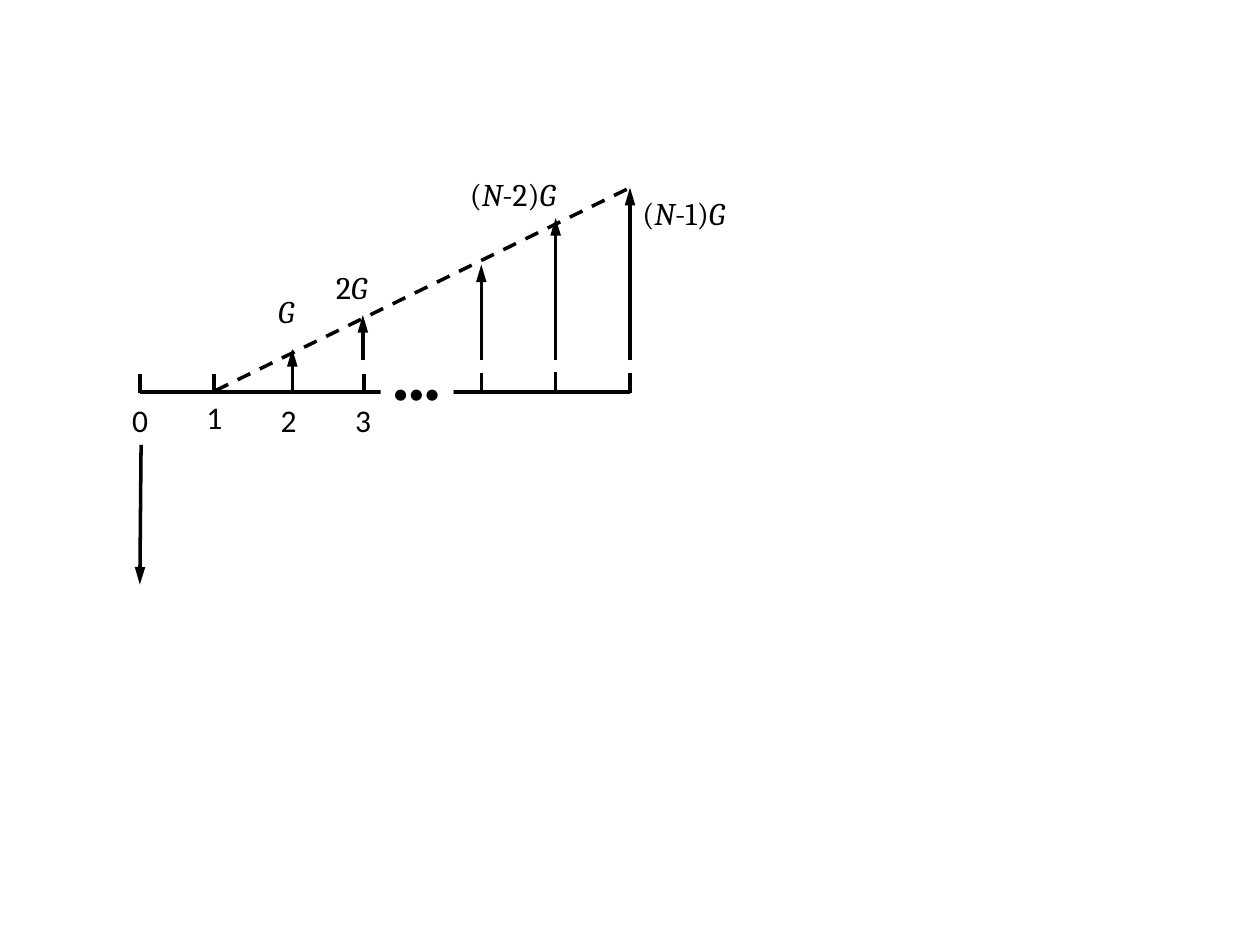
"""Build a slide with the cash flow diagram of an arithmetic gradient."""
from itertools import groupby

from lxml.etree import SubElement
from pptx import Presentation
from pptx.dml.color import RGBColor
from pptx.enum.dml import MSO_LINE_DASH_STYLE as DASH
from pptx.enum.shapes import MSO_CONNECTOR as CONNECTOR, MSO_SHAPE as SHAPE
from pptx.enum.text import MSO_AUTO_SIZE as AUTO_SIZE, PP_ALIGN as ALIGN
from pptx.oxml.ns import qn
from pptx.util import Inches, Pt

BLACK = RGBColor(0, 0, 0)
WHITE = RGBColor(255, 255, 255)

presentation = Presentation()
presentation.slide_width, presentation.slide_height = Inches(10), Inches(7.5)
slide = presentation.slides.add_slide(presentation.slide_layouts[6])


def add_label(text, left, top, width, font="Calibri", fill=None):
    box = (Inches(left), Inches(top), Inches(width), Inches(0.4))
    if fill is None:
        shape = slide.shapes.add_textbox(*box)
    else:
        shape = slide.shapes.add_shape(SHAPE.RECTANGLE, *box)
        shape.shadow.inherit = False
        shape.fill.solid()
        shape.fill.fore_color.rgb = fill
        shape.line.fill.background()
    frame = shape.text_frame
    frame.word_wrap = False
    frame.auto_size = AUTO_SIZE.SHAPE_TO_FIT_TEXT
    paragraph = frame.paragraphs[0]
    paragraph.alignment = ALIGN.LEFT
    for is_variable, characters in groupby(text, str.isalpha):
        run = paragraph.add_run()
        run.text = "".join(characters)
        run.font.name = font
        run.font.size = Pt(18)
        run.font.italic = is_variable
        run.font.color.rgb = BLACK


def add_line(start_x, start_y, end_x, end_y, arrow=False, dash=None):
    connector = slide.shapes.add_connector(
        CONNECTOR.STRAIGHT, Inches(start_x), Inches(start_y), Inches(end_x), Inches(end_y))
    connector.line.color.rgb = BLACK
    connector.line.width = Pt(2)
    if dash is not None:
        connector.line.dash_style = dash
    properties = connector._element.spPr
    if arrow:
        SubElement(properties.find(qn("a:ln")), qn("a:tailEnd"), type="triangle", w="med", len="lg")
    SubElement(properties, qn("a:effectLst"))


add_line(1.11, 3.11, 5, 3.11)
add_label("•••", 3.02, 2.91, 0.58, fill=WHITE)

for period, top in enumerate((3.13, 3.11, 3.13, 3.13)):
    add_label(str(period), 0.95 + 0.59 * period, top, 0.33)

for x, bottom, top in ((1.11, 3.12, 2.97), (1.7, 3.13, 2.97), (2.89, 3.12, 2.97),
                       (3.82, 3.11, 2.96), (4.41, 3.1, 2.95), (5, 3.12, 2.96)):
    add_line(x, bottom, x, top)

for x, bottom, top in ((2.32, 3.11, 2.77), (2.88, 2.86, 2.5), (3.82, 2.86, 2.1),
                       (4.41, 2.86, 1.73), (5, 2.86, 1.49)):
    add_line(x, bottom, x, top, arrow=True)
add_line(1.12, 3.53, 1.11, 4.64, arrow=True)

for text, left, top, width in (("G", 2.11, 2.27, 0.43), ("2G", 2.57, 2.08, 0.56),
                               ("(N-2)G", 3.63, 1.34, 1.02), ("(N-1)G", 5, 1.49, 1.02)):
    add_label(text, left, top, width, font="Cambria")

add_line(1.71, 3.1, 5, 1.49, dash=DASH.DASH)

presentation.save("out.pptx")
